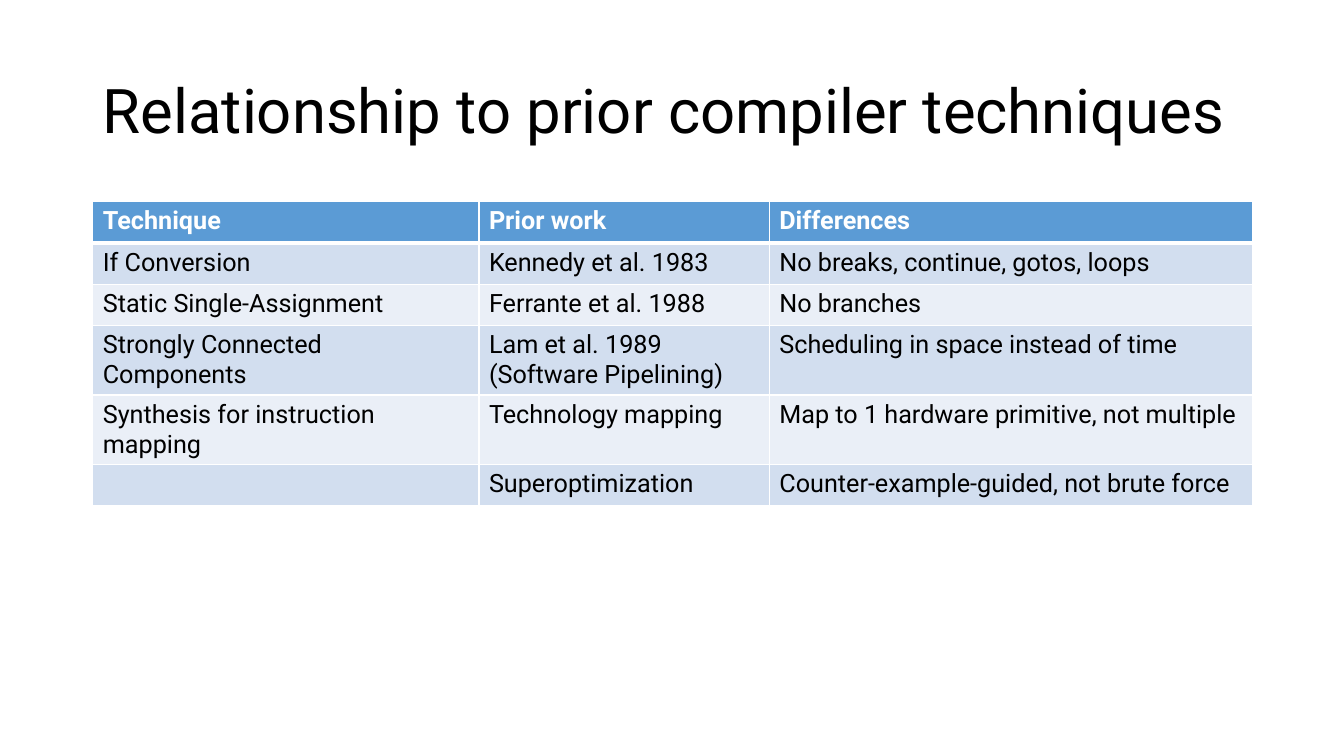
"""Build a slide comparing compiler techniques with prior work."""
from lxml import etree
from pptx import Presentation
from pptx.dml.color import RGBColor
from pptx.enum import text as t
from pptx.oxml import ns
from pptx.util import Inches, Pt

TITLE = "Relationship to prior compiler techniques"
ROWS = [
    ("Technique", "Prior work", "Differences"),
    ("If Conversion", "Kennedy et al. 1983", "No breaks, continue, gotos, loops"),
    ("Static Single-Assignment", "Ferrante et al. 1988", "No branches"),
    ("Strongly Connected Components", "Lam et al. 1989 (Software Pipelining)",
     "Scheduling in space instead of time"),
    ("Synthesis for instruction mapping", "Technology mapping",
     "Map to 1 hardware primitive, not multiple"),
    ("", "Superoptimization", "Counter-example-guided, not brute force"),
]
WIDTHS = [3.83, 2.88, 4.79]
HEIGHTS = [0.41, 0.41, 0.41, 0.69, 0.69, 0.41]
LEFT, TOP, WIDTH = 0.92, 2, 11.5
HEAD, BANDS = "5B9BD5", ("EAEFF7", "D2DEEF")
BLACK, WHITE = "000000", "FFFFFF"


def color(code):
    return RGBColor.from_string(code)


def write(frame, words, size=18, ink=BLACK, bold=False, space=1.0):
    para = frame.paragraphs[0]
    para.alignment = t.PP_ALIGN.LEFT
    para.line_spacing = space
    font = para.font
    if words:
        run = para.add_run()
        run.text = words
        font = run.font
    font.name, font.size, font.bold = "Roboto", Pt(size), bold
    font.color.rgb = color(ink)


def border(cell, **sides):
    props = cell._tc.get_or_add_tcPr()
    for side, width in sides.items():
        line = etree.SubElement(props, ns.qn("a:ln" + side), w=str(Pt(width)))
        fill = etree.SubElement(line, ns.qn("a:solidFill"))
        etree.SubElement(fill, ns.qn("a:srgbClr"), val=WHITE)


def add_title(slide):
    title = slide.shapes.title
    title.left, title.top = Inches(LEFT), Inches(0.4)
    title.width, title.height = Inches(WIDTH), Inches(1.45)
    frame = title.text_frame
    frame.word_wrap = True
    frame.auto_size = t.MSO_AUTO_SIZE.NONE
    frame.vertical_anchor = t.MSO_ANCHOR.MIDDLE
    write(frame, TITLE, size=44, space=0.9)


def add_grid(slide):
    grid = slide.shapes.add_table(
        len(ROWS), len(WIDTHS), Inches(LEFT), Inches(TOP),
        Inches(WIDTH), Inches(sum(HEIGHTS))).table
    for col, width in zip(grid.columns, WIDTHS):
        col.width = Inches(width)
    for i, (row, height) in enumerate(zip(ROWS, HEIGHTS)):
        grid.rows[i].height = Inches(height)
        head = i == 0
        for j, words in enumerate(row):
            cell = grid.cell(i, j)
            border(cell, L=1, R=1, T=3 if i == 1 else 1, B=3 if head else 1)
            cell.fill.solid()
            cell.fill.fore_color.rgb = color(HEAD if head else BANDS[i % 2])
            write(cell.text_frame, words, ink=WHITE if head else BLACK, bold=head)


def main():
    deck = Presentation()
    deck.slide_width, deck.slide_height = Inches(13.33), Inches(7.5)
    slide = deck.slides.add_slide(deck.slide_layouts[5])
    add_title(slide)
    add_grid(slide)
    deck.save("out.pptx")


if __name__ == "__main__":
    main()
